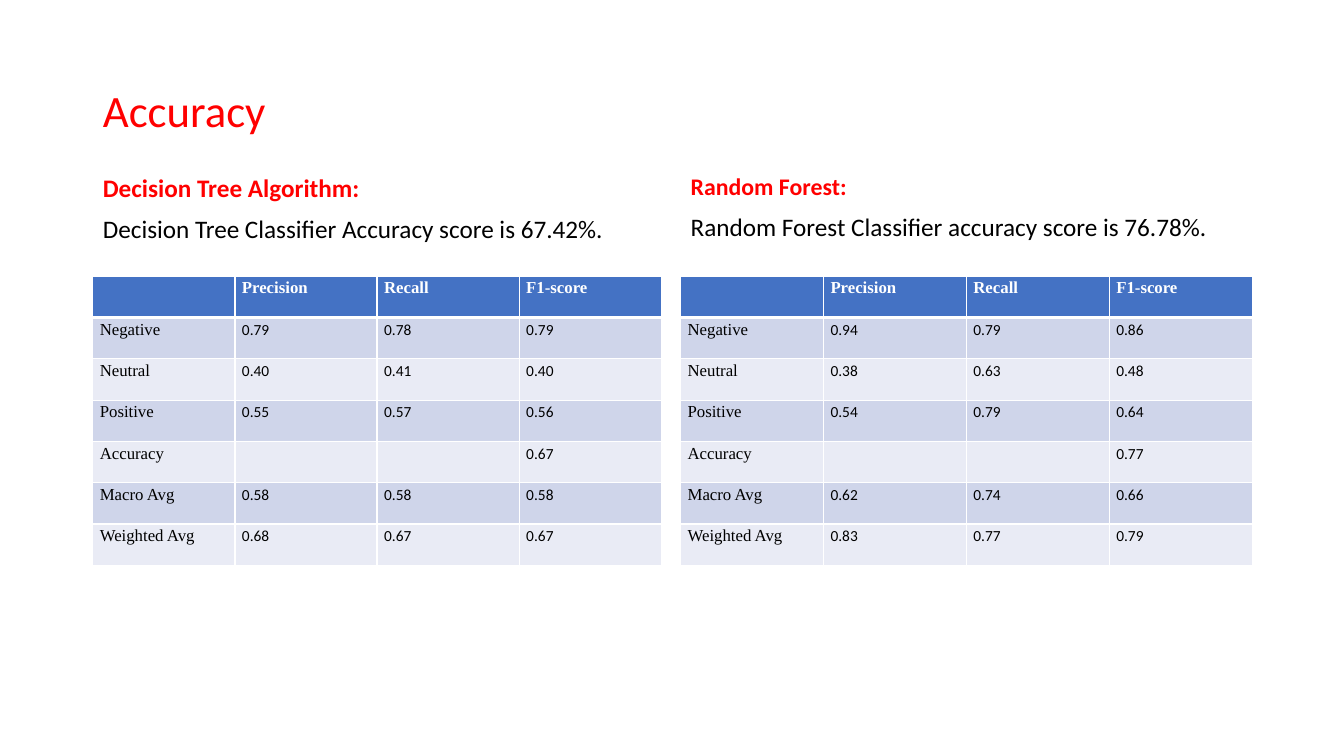
from dataclasses import dataclass

from lxml.etree import SubElement
from pptx import Presentation
from pptx.dml.color import RGBColor
from pptx.enum.text import MSO_ANCHOR, MSO_AUTO_SIZE, PP_ALIGN
from pptx.oxml.ns import qn
from pptx.util import Inches, Pt


@dataclass(frozen=True)
class Theme:
    sans: str = "Calibri"
    serif: str = "Times New Roman"
    accent: str = "FF0000"
    ink: str = "000000"
    white: str = "FFFFFF"
    header: str = "4472C4"
    bands: tuple = ("CFD5EA", "E9EBF5")
    title: int = 32
    body: int = 18
    label: int = 12
    score: int = 11


theme = Theme()


def write(paragraph, text, *, size, color, font=theme.sans, bold=False,
          line=0.9, before=0, after=0):
    paragraph.alignment = PP_ALIGN.LEFT
    paragraph.line_spacing = line
    paragraph.space_before = Pt(before)
    paragraph.space_after = Pt(after)
    run = paragraph.add_run()
    run.text = text
    run.font.name = font
    run.font.size = Pt(size)
    run.font.bold = bold
    run.font.color.rgb = RGBColor.from_string(color)


def rule_cell(cell, bottom):
    """Draw white borders around a cell; bottom is the lower one's width in points."""
    properties = cell._tc.get_or_add_tcPr()
    for side, width in (("L", 1), ("R", 1), ("T", 1), ("B", bottom)):
        border = SubElement(properties, qn(f"a:ln{side}"), w=str(Pt(width)))
        fill = SubElement(border, qn("a:solidFill"))
        SubElement(fill, qn("a:srgbClr"), val=theme.white)


# Grid in inches
LEFT, WIDTH = 0.92, 11.5
TITLE_TOP, TITLE_HEIGHT = 0.4, 1.45
SUMMARY_TOP, TABLE_TOP = 1.74, 2.74
ROW_HEIGHT = 0.41

metrics = ["", "Precision", "Recall", "F1-score"]
classes = ["Negative", "Neutral", "Positive", "Accuracy", "Macro Avg", "Weighted Avg"]
models = [
    dict(left=LEFT, width=5.64, slot=1, heading="Decision Tree Algorithm:", heading_size=18,
         result="Decision Tree Classifier Accuracy score is 67.42%.",
         scores=[("0.79", "0.78", "0.79"), ("0.40", "0.41", "0.40"),
                 ("0.55", "0.57", "0.56"), ("", "", "0.67"),
                 ("0.58", "0.58", "0.58"), ("0.68", "0.67", "0.67")]),
    dict(left=6.75, width=5.67, slot=3, heading="Random Forest:", heading_size=17,
         result="Random Forest Classifier accuracy score is 76.78%.",
         scores=[("0.94", "0.79", "0.86"), ("0.38", "0.63", "0.48"),
                 ("0.54", "0.79", "0.64"), ("", "", "0.77"),
                 ("0.62", "0.74", "0.66"), ("0.83", "0.77", "0.79")]),
]

deck = Presentation()
deck.slide_width, deck.slide_height = Inches(13.33), Inches(7.5)
slide = deck.slides.add_slide(deck.slide_layouts.get_by_name("Comparison"))
slots = {slot.placeholder_format.idx: slot for slot in slide.placeholders}

title = slots[0]
title.left, title.top = Inches(LEFT), Inches(TITLE_TOP)
title.width, title.height = Inches(WIDTH), Inches(TITLE_HEIGHT)
title.text_frame.vertical_anchor = MSO_ANCHOR.MIDDLE
title.text_frame.auto_size = MSO_AUTO_SIZE.NONE
write(title.text_frame.paragraphs[0], "Accuracy", size=theme.title, color=theme.accent)

for model in models:
    left, width = Inches(model["left"]), Inches(model["width"])

    summary = slots[model["slot"]]
    summary.left, summary.top = left, Inches(SUMMARY_TOP)
    summary.width, summary.height = width, Inches(TABLE_TOP - SUMMARY_TOP)
    frame = summary.text_frame
    frame.vertical_anchor = MSO_ANCHOR.TOP
    frame.auto_size = MSO_AUTO_SIZE.NONE
    frame.margin_top = 0
    write(frame.paragraphs[0], model["heading"], size=model["heading_size"],
          color=theme.accent, bold=True)
    write(frame.add_paragraph(), model["result"], size=theme.body,
          color=theme.ink, before=10)

    rows = [metrics] + [[name, *scores] for name, scores in zip(classes, model["scores"])]
    table = slide.shapes.add_table(len(rows), len(metrics), left, Inches(TABLE_TOP), width,
                                   Inches(ROW_HEIGHT * len(rows))).table
    for r, row in enumerate(rows):
        is_header = r == 0
        for c, text in enumerate(row):
            cell = table.cell(r, c)
            rule_cell(cell, bottom=3 if is_header else 1)
            cell.fill.solid()
            cell.fill.fore_color.rgb = RGBColor.from_string(
                theme.header if is_header else theme.bands[(r - 1) % 2])
            cell.margin_left = cell.margin_right = Inches(0.07)
            cell.margin_top = cell.margin_bottom = 0
            if text:
                is_label = is_header or c == 0
                write(cell.text_frame.paragraphs[0], text,
                      size=theme.label if is_label else theme.score,
                      font=theme.serif if is_label else theme.sans,
                      color=theme.white if is_header else theme.ink,
                      bold=is_header, line=1.15, after=10)

for slot in (slots[2], slots[4]):
    slot.element.getparent().remove(slot.element)

deck.save("out.pptx")
